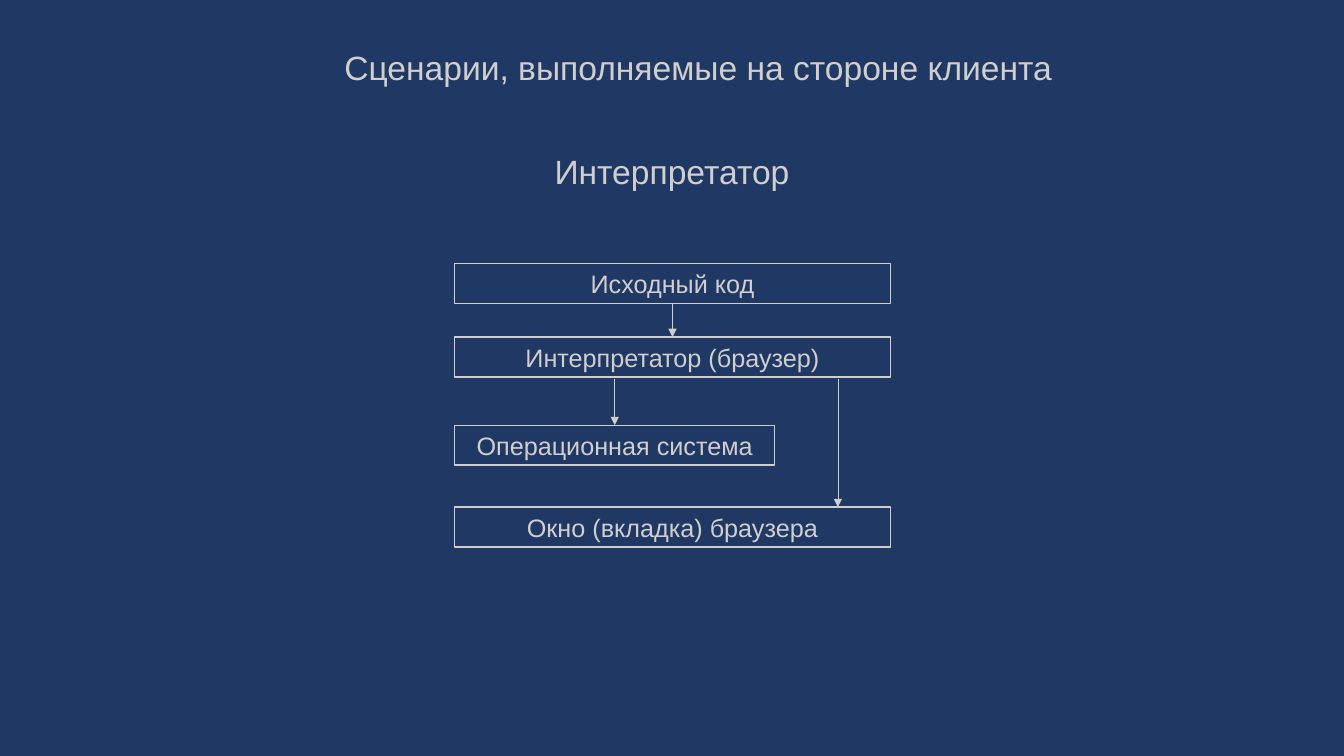
from pptx import Presentation, util as u
from pptx.dml.color import RGBColor
from pptx.enum import shapes, text
from pptx.oxml.ns import qn
from lxml import etree

PX = 9525
COLORS = {"background": "203864", "light": "D0CECE"}
FONT = "Arial"
LEFT, WIDE, NARROW, HEIGHT = 433, 415, 305, 38


def px(*lengths):
    return [u.Emu(length * PX) for length in lengths]


def color(name):
    return RGBColor.from_string(COLORS[name])


def write(box, words, size, spacing=None):
    frame = box.text_frame
    frame.word_wrap = True
    frame.auto_size = text.MSO_AUTO_SIZE.NONE
    frame.vertical_anchor = text.MSO_ANCHOR.MIDDLE
    para = frame.paragraphs[0]
    para.alignment = text.PP_ALIGN.CENTER
    if spacing:
        para.line_spacing = spacing
    span = para.add_run()
    span.text = words
    span.font.name = FONT
    span.font.size = u.Pt(size)
    span.font.color.rgb = color("light")


def add_title(page, words):
    title = page.shapes.title
    title.left, title.top, title.width, title.height = px(113, 42, 1104, 48)
    write(title, words, 24, 0.9)


def add_subtitle(page, words):
    box = page.shapes.add_textbox(*px(462, 141, 356, 48))
    write(box, words, 24, 0.9)


def add_step(page, words, top, width=WIDE):
    box = page.shapes.add_shape(shapes.MSO_SHAPE.RECTANGLE, *px(LEFT, top, width, HEIGHT))
    box.shadow.inherit = False
    box.fill.background()
    box.line.color.rgb = color("light")
    box.line.width = u.Pt(1)
    write(box, words, 18)
    return box


def add_arrow(page, x, top, bottom, source=None, target=None):
    """Draw a downward arrow, joined to the steps that it meets mid-side."""
    arrow = page.shapes.add_connector(shapes.MSO_CONNECTOR.STRAIGHT, *px(x, top, x, bottom))
    if source:
        arrow.begin_connect(source, 2)
    if target:
        arrow.end_connect(target, 0)
        arrow.begin_x = arrow.end_x
    arrow.line.color.rgb = color("light")
    arrow.line.width = u.Pt(0.5)
    etree.SubElement(arrow.line._get_or_add_ln(), qn("a:tailEnd"), type="triangle")
    etree.SubElement(arrow._element.spPr, qn("a:effectLst"))


def main():
    deck = Presentation()
    deck.slide_width, deck.slide_height = px(1280, 720)
    page = deck.slides.add_slide(deck.slide_layouts[5])
    page.background.fill.solid()
    page.background.fill.fore_color.rgb = color("background")

    add_title(page, "Сценарии, выполняемые на стороне клиента")
    add_subtitle(page, "Интерпретатор")

    code = add_step(page, "Исходный код", 251)
    interpreter = add_step(page, "Интерпретатор (браузер)", 321)
    system = add_step(page, "Операционная система", 405, NARROW)
    add_step(page, "Окно (вкладка) браузера", 483)

    add_arrow(page, 640, 289, 321, code, interpreter)
    add_arrow(page, 585, 361, 405, target=system)
    add_arrow(page, 798, 361, 483)

    deck.save("out.pptx")


if __name__ == "__main__":
    main()
